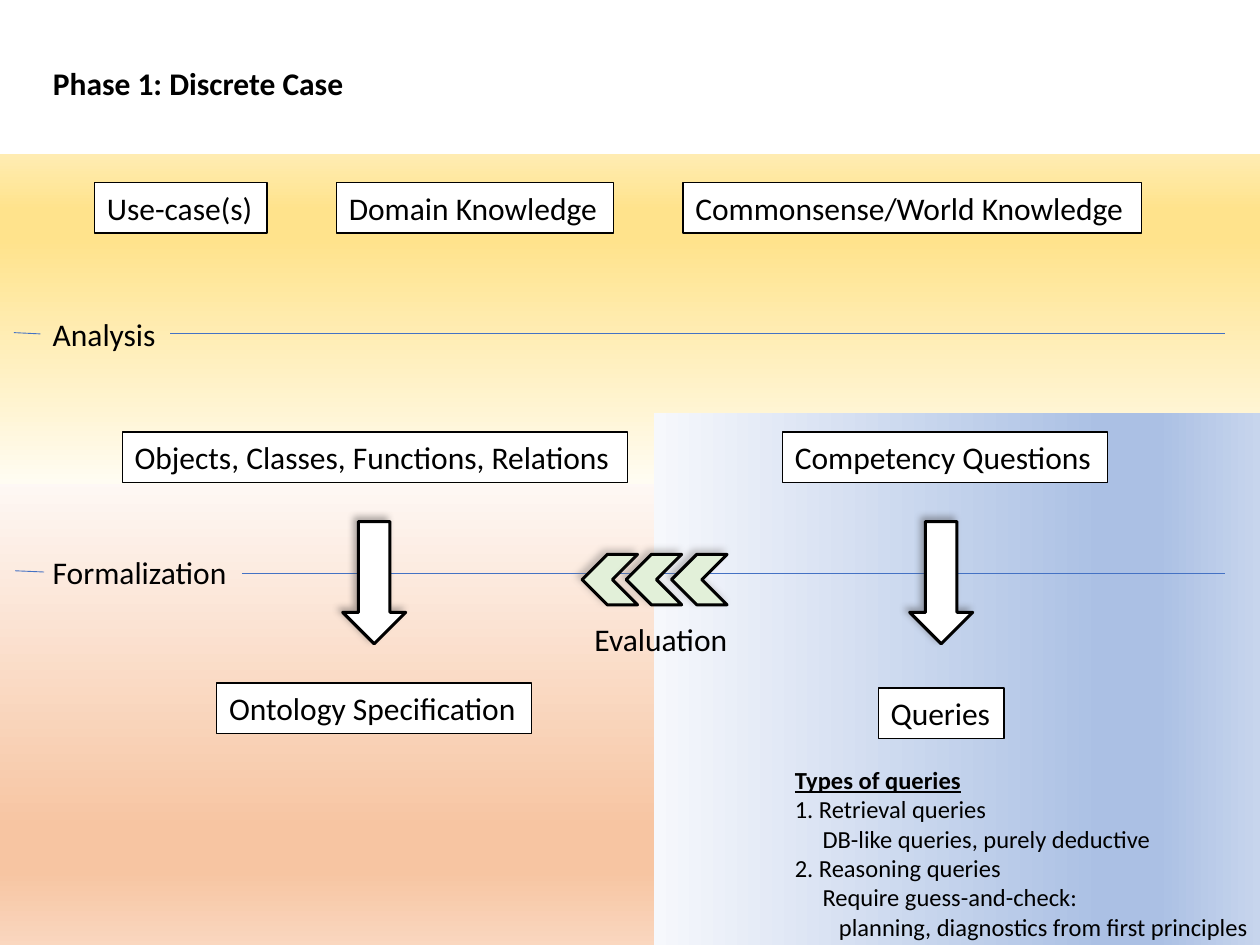
from lxml import etree
from pptx import Presentation
from pptx.dml.color import RGBColor
from pptx.enum.shapes import MSO_CONNECTOR, MSO_SHAPE
from pptx.enum.text import MSO_ANCHOR, MSO_AUTO_SIZE, PP_ALIGN
from pptx.oxml.ns import qn
from pptx.util import Pt

PX = 9144
TITLE_ONLY = 5
FONT = "Calibri"
BLACK, WHITE, BLUE, GREEN = "000000", "FFFFFF", "4472C4", "E2F0D9"
RECTANGLE, DOWN_ARROW, CHEVRON = MSO_SHAPE.RECTANGLE, MSO_SHAPE.DOWN_ARROW, MSO_SHAPE.CHEVRON
STRAIGHT = MSO_CONNECTOR.STRAIGHT
TOP, LEFT = MSO_ANCHOR.TOP, PP_ALIGN.LEFT
GROW = MSO_AUTO_SIZE.SHAPE_TO_FIT_TEXT
STOPS = (0, 74, 83, 100)

BANDS = [
    ((0, 380, 1000, 375), 90, ("FEF8F5", "F7C5A2", "F7C5A2", "FAD8C1")),
    ((0, 122, 1000, 262), 270, ("FFFCF2", "FFE38C", "FFE38C", "FFECB2")),
    ((519, 328, 481, 427), 0, ("F6F8FC", "ABC0E4", "ABC0E4", "C7D5ED")),
]
BOXES = [
    ("Use-case(s)", 75, 145, 137),
    ("Domain Knowledge", 267, 145, 220),
    ("Commonsense/World Knowledge", 542, 145, 364),
    ("Objects, Classes, Functions, Relations", 97, 343, 401),
    ("Competency Questions", 621, 343, 258),
    ("Ontology Specification", 172, 542, 250),
    ("Queries", 697, 546, 100),
]
STAGES = [("Analysis", 245, 103), ("Formalization", 434, 160)]
RULES = [
    (135, 265, 972, 265),
    (32, 265, 11, 264),
    (192, 455, 972, 455),
    (35, 454, 12, 453),
]
QUERY_TYPES = [
    ("1. Retrieval queries", 0),
    ("DB-like queries, purely deductive", 22),
    ("2. Reasoning queries", 0),
    ("Require guess-and-check:", 22),
    ("planning, diagnostics from first principles", 35),
]


def px(*lengths):
    """Turn whole px lengths into EMU."""
    return [length * PX for length in lengths]


def color(value):
    """Return the colour for a hex string."""
    return RGBColor.from_string(value)


def write(para, text, size=18, bold=False, underline=False, indent=0):
    """Write one formatted, left-aligned paragraph."""
    if indent:
        para._p.get_or_add_pPr().set("marL", str(indent * PX))
    para.alignment = LEFT
    span = para.add_run()
    span.text = text
    font = span.font
    font.name, font.size, font.bold = FONT, Pt(size), bold
    font.underline = underline
    font.color.rgb = color(BLACK)


def fit_frame(box):
    """Make a box grow with unwrapped text and return its frame."""
    frame = box.text_frame
    frame.word_wrap = False
    frame.auto_size = GROW
    frame.vertical_anchor = TOP
    return frame


def add_label(shapes, text, left, top, width, height=40, **style):
    """Add a text box with one line of text."""
    box = shapes.add_textbox(*px(left, top, width, height))
    write(fit_frame(box).paragraphs[0], text, **style)
    return box


def add_box(shapes, text, left, top, width):
    """Add a white, outlined label."""
    box = add_label(shapes, text, left, top, width)
    box.fill.solid()
    box.fill.fore_color.rgb = color(WHITE)
    box.line.color.rgb = color(BLACK)
    box.line.width = Pt(0.75)


def add_band(shapes, bounds, angle, shades):
    """Add a background rectangle with a four-stop gradient."""
    band = shapes.add_shape(RECTANGLE, *px(*bounds))
    band.shadow.inherit = False
    band.line.fill.background()
    band.fill.gradient()
    band.fill.gradient_angle = (360 - angle) % 360
    stops = band._element.spPr.find(".//" + qn("a:gsLst"))
    for stop in list(stops):
        stops.remove(stop)
    for position, shade in zip(STOPS, shades):
        stop = etree.SubElement(stops, qn("a:gs"), pos=str(position * 1000))
        etree.SubElement(stop, qn("a:srgbClr"), val=shade)


def add_arrow(shapes, kind, bounds, fill, shade, rotation=0):
    """Add an outlined block arrow with a soft shadow."""
    arrow = shapes.add_shape(kind, *px(*bounds))
    arrow.rotation = rotation
    arrow.fill.solid()
    arrow.fill.fore_color.rgb = color(fill)
    arrow.line.color.rgb = color(BLACK)
    arrow.line.width = Pt(1.75)
    arrow.shadow.inherit = False
    effects = arrow._element.spPr.find(qn("a:effectLst"))
    shadow = etree.SubElement(
        effects, qn("a:outerShdw"), blurRad=str(Pt(4)), dist=str(Pt(3)),
        dir=str(225 * 60000), algn="br", rotWithShape="0",
    )
    tint = etree.SubElement(shadow, qn("a:srgbClr"), val=shade)
    etree.SubElement(tint, qn("a:alpha"), val="40000")


def add_rule(shapes, *ends):
    """Add a thin divider line."""
    rule = shapes.add_connector(STRAIGHT, *px(*ends))
    rule.line.color.rgb = color(BLUE)
    rule.line.width = Pt(0.5)
    etree.SubElement(rule._element.spPr, qn("a:effectLst"))


def add_title(page, text):
    """Place and format the slide title."""
    title = page.shapes.title
    title.left, title.top, title.width, title.height = px(32, 46, 253, 40)
    write(fit_frame(title).paragraphs[0], text, bold=True)


def add_evaluation(shapes):
    """Add the grouped chevrons and their caption."""
    group = shapes.add_group_shape().shapes
    for left in (462, 497, 533):
        add_arrow(group, CHEVRON, (left, 440, 44, 40), GREEN, "767171", rotation=180)
    add_label(group, "Evaluation", 462, 487, 127)


def add_query_types(shapes):
    """Add the list of query types under its heading."""
    box = add_label(shapes, "Types of queries", 621, 602, 383, 151,
                    size=14, bold=True, underline=True)
    for text, indent in QUERY_TYPES:
        write(box.text_frame.add_paragraph(), text, size=14, indent=indent)


def main():
    """Build and save the slide."""
    deck = Presentation()
    deck.slide_width, deck.slide_height = px(1000, 750)
    page = deck.slides.add_slide(deck.slide_layouts[TITLE_ONLY])
    shapes = page.shapes
    add_title(page, "Phase 1: Discrete Case")
    for band in BANDS:
        add_band(shapes, *band)
    for box in BOXES:
        add_box(shapes, *box)
    for text, top, width in STAGES:
        add_label(shapes, text, 32, top, width)
    for rule in RULES:
        add_rule(shapes, *rule)
    for left in (272, 722):
        add_arrow(shapes, DOWN_ARROW, (left, 414, 50, 97), WHITE, "3B3838")
    add_evaluation(shapes)
    add_query_types(shapes)
    deck.save("out.pptx")


if __name__ == "__main__":
    main()
